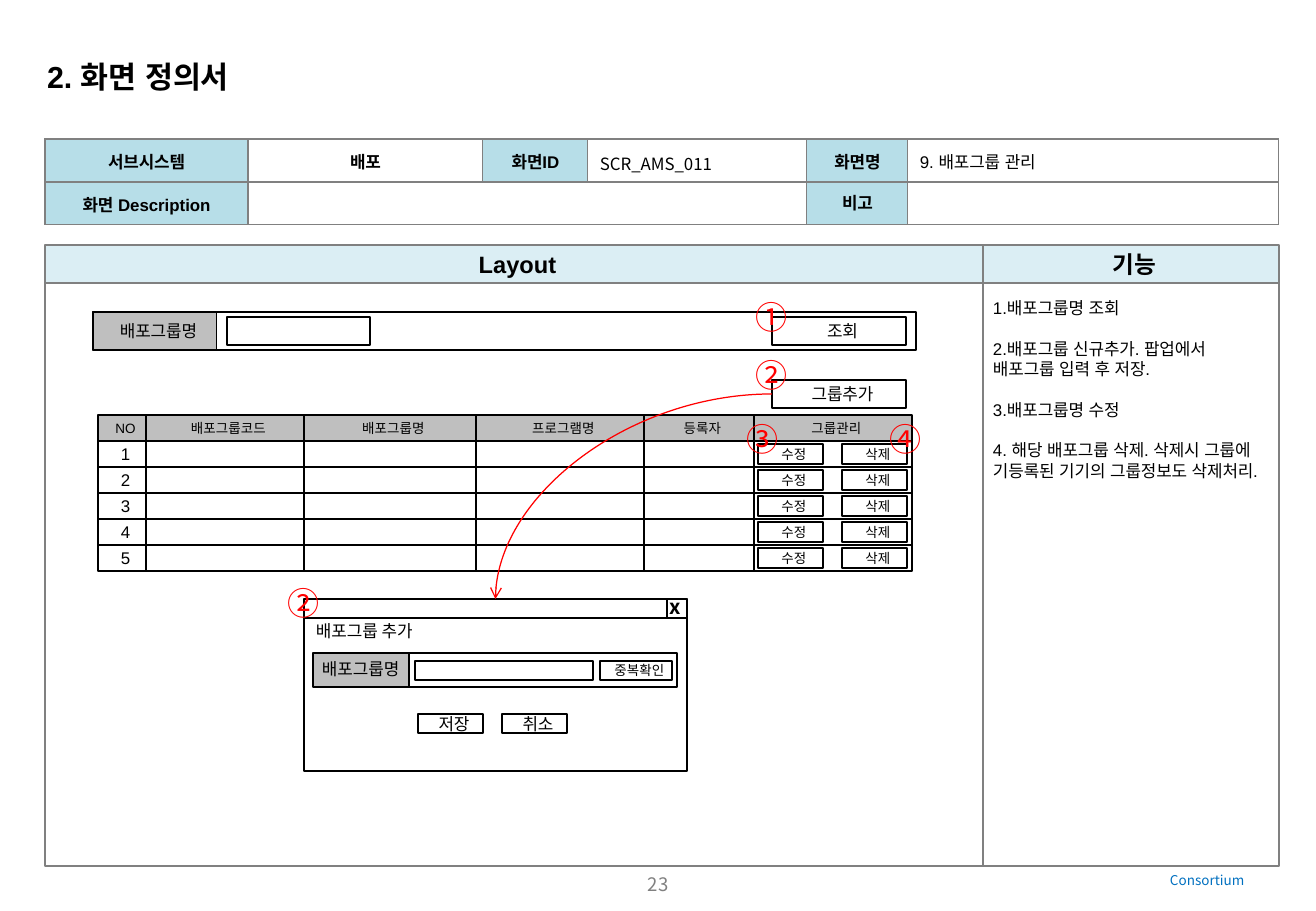
from lxml.etree import SubElement
from pptx import Presentation
from pptx.dml.color import RGBColor
from pptx.enum.shapes import MSO_CONNECTOR, MSO_SHAPE
from pptx.enum.text import MSO_ANCHOR, MSO_AUTO_SIZE, PP_ALIGN
from pptx.oxml.ns import qn
from pptx.util import Pt

SCALE = 7526  # EMU in one px
HEX = {
    "black": "000000", "white": "FFFFFF", "gray": "BFBFBF", "edge": "808080",
    "head": "B7DEE8", "pale": "DBEEF4", "red": "FF0000", "blue": "0070C0",
}
SANS, NOTO = "Arial", "Noto Sans CJK KR"
LEFT, MID = PP_ALIGN.LEFT, PP_ALIGN.CENTER
NOTES = [
    "1.배포그룹명 조회",
    "2.배포그룹 신규추가. 팝업에서 배포그룹 입력 후 저장.",
    "3.배포그룹명 수정",
    "4. 해당 배포그룹 삭제. 삭제시 그룹에 기등록된 기기의 그룹정보도 삭제처리.",
]


def px(*nums):
    return [num * SCALE for num in nums]


def rgb(name):
    return RGBColor.from_string(HEX[name])


def style(para, size, face=SANS, color="black", bold=False, align=LEFT):
    """Format a paragraph, with one face for Latin and Korean text."""
    para.alignment = align
    font = para.font
    font.size, font.bold, font.name = Pt(size), bold, face
    font.color.rgb = rgb(color)
    latin = para._p.pPr.find(".//" + qn("a:latin"))
    east = SubElement(latin.getparent(), qn("a:ea"), typeface=face)
    latin.addnext(east)


def inset(frame, left, top, right, bottom):
    (frame.margin_left, frame.margin_top,
     frame.margin_right, frame.margin_bottom) = px(left, top, right, bottom)


def place(shape, *area):
    shape.left, shape.top, shape.width, shape.height = px(*area)


def box(slide, area, text="", fill="white", edge="black", size=10, bold=False):
    shape = slide.shapes.add_shape(MSO_SHAPE.RECTANGLE, *px(*area))
    shape.shadow.inherit = False
    if fill:
        shape.fill.solid()
        shape.fill.fore_color.rgb = rgb(fill)
    else:
        shape.fill.background()
    shape.line.color.rgb = rgb(edge)
    shape.line.width = Pt(0.75)
    if text:
        frame = shape.text_frame
        frame.vertical_anchor = MSO_ANCHOR.MIDDLE
        inset(frame, 12, 2, 5, 2)
        frame.text = text
        style(frame.paragraphs[0], size, bold=bold, align=MID)
    return shape


def label(slide, area, text, size, color="black", bold=False, align=LEFT):
    frame = slide.shapes.add_textbox(*px(*area)).text_frame
    frame.word_wrap = True
    inset(frame, 12, 6, 12, 6)
    frame.text = text
    style(frame.paragraphs[0], size, NOTO, color, bold, align)


def mark(slide, x, y, sign):
    label(slide, (x, y, 57, 51), sign, 19, "red")


def border(cell):
    props = cell._tc.get_or_add_tcPr()
    for spot, side in enumerate(("lnL", "lnR", "lnT", "lnB")):
        line = SubElement(props, qn("a:" + side), w=str(Pt(0.75)))
        fill = SubElement(line, qn("a:solidFill"))
        SubElement(fill, qn("a:srgbClr"), val=HEX["edge"])
        props.insert(spot, line)


def summary(slide):
    wide = [203, 235, 105, 219, 101, 371]
    rows = [
        ["서브시스템", "배포", "화면ID", "SCR_AMS_011", "화면명", "9. 배포그룹 관리"],
        ["화면 Description", "", "", "", "비고", ""],
    ]
    table = slide.shapes.add_table(2, 6, *px(45, 139, sum(wide), 86)).table
    for col, width in zip(table.columns, px(*wide)):
        col.width = width
    for r, row in enumerate(rows):
        table.rows[r].height = px(43)[0]
        for c, text in enumerate(row):
            cell = table.cell(r, c)
            cell.fill.solid()
            cell.fill.fore_color.rgb = rgb("white" if c % 2 else "head")
            cell.vertical_anchor = MSO_ANCHOR.MIDDLE
            inset(cell, 12, 6, 12, 6)
            border(cell)
            cell.text = text
            para = cell.text_frame.paragraphs[0]
            value = c in (3, 5)
            style(para, 10, NOTO if c == 3 else SANS, bold=not value,
                  align=LEFT if value else MID)
            if not text:
                SubElement(para._p, qn("a:endParaRPr"), sz="1000")
            elif text != "비고":
                para.line_spacing = 1.2
    table.cell(1, 1).merge(table.cell(1, 3))


def title(slide):
    shape = slide.shapes.title
    place(shape, 35, 52, 260, 49)
    frame = shape.text_frame
    frame.auto_size = MSO_AUTO_SIZE.NONE
    frame.vertical_anchor = MSO_ANCHOR.TOP
    inset(frame, 12, 6, 12, 6)
    frame.text = "2. 화면 정의서"
    style(frame.paragraphs[0], 18, bold=True)


def notes(slide):
    shape = slide.placeholders[1]
    place(shape, 983, 283, 296, 583)
    shape.line.color.rgb = rgb("edge")
    shape.line.width = Pt(0.75)
    frame = shape.text_frame
    frame.auto_size = MSO_AUTO_SIZE.NONE
    inset(frame, 10, 15, 10, 10)
    frame.text = "\n".join(NOTES)
    for para in frame.paragraphs:
        style(para, 10)
        para.space_before, para.space_after = Pt(0), Pt(12)
        props = para._p.pPr
        props.set("marL", "0")
        props.set("indent", "0")
        bullet = SubElement(props, qn("a:buNone"))
        props.find(qn("a:defRPr")).addprevious(bullet)


def search(slide):
    box(slide, (93, 312, 823, 38))
    box(slide, (93, 312, 124, 38), "배포그룹명", "gray")
    box(slide, (227, 317, 143, 28))
    box(slide, (772, 317, 134, 28), "조회")


def groups(slide):
    heads = ["NO", "배포그룹코드", "배포그룹명", "프로그램명", "등록자", "그룹관리"]
    edges = [98, 146, 304, 476, 644, 754, 912]
    top, step = 415, 26
    for head, left, right in zip(heads, edges, edges[1:]):
        box(slide, (left, top, right - left, step), head, "gray", size=8)
        for row in range(1, 6):
            text = str(row) if head == "NO" else ""
            box(slide, (left, top + row * step, right - left, step), text)
    for row in range(1, 6):
        for x, text in ((758, "수정"), (842, "삭제")):
            box(slide, (x, top + row * step + 3, 65, 20), text, size=8)


def popup(slide):
    """Draw the window that adds a group and return its title bar."""
    box(slide, (304, 618, 383, 153))
    bar = box(slide, (304, 599, 383, 19))
    box(slide, (667, 599, 20, 19))
    label(slide, (658, 588, 40, 37), "x", 12, bold=True)
    label(slide, (304, 615, 143, 33), "배포그룹 추가", 10)
    box(slide, (415, 661, 178, 19))
    box(slide, (409, 653, 268, 34), fill=None)
    box(slide, (418, 714, 65, 19), "저장")
    box(slide, (502, 714, 65, 19), "취소")
    box(slide, (313, 653, 96, 34), fill="gray")
    box(slide, (600, 661, 72, 19), "중복확인", size=8)
    label(slide, (310, 653, 124, 33), "배포그룹명", 10)
    return bar


def arrow(slide, start, end):
    """Bend a red arrow from the left of one box to the top of another."""
    link = slide.shapes.add_connector(MSO_CONNECTOR.CURVE, 0, 0, 0, 0)
    link.begin_connect(start, 1)
    link.end_connect(end, 0)
    link.line.color.rgb = rgb("red")
    link.line.width = Pt(0.75)
    props = link._element.spPr
    props.find(qn("a:prstGeom")).set("prst", "curvedConnector2")
    SubElement(props.find(qn("a:ln")), qn("a:tailEnd"), type="arrow")
    SubElement(props, qn("a:effectLst"))


def main():
    deck = Presentation()
    deck.slide_width, deck.slide_height = px(1316, 911)
    slide = deck.slides.add_slide(deck.slide_layouts[1])
    label(slide, (1158, 866, 124, 29), "Consortium", 8, "blue")
    label(slide, (481, 867, 354, 39), "23", 11, "edge", align=MID)
    title(slide)
    summary(slide)
    box(slide, (45, 283, 938, 583), fill=None, edge="edge")
    notes(slide)
    for x, width, text in ((983, 296, "기능"), (45, 938, "Layout")):
        box(slide, (x, 245, width, 38), text, "pale", "edge", 14, True)
    search(slide)
    groups(slide)
    button = box(slide, (772, 380, 134, 28), "그룹추가")
    arrow(slide, button, popup(slide))
    for x, y, sign in ((744, 292, "①"), (744, 350, "②"), (276, 577, "②"),
                       (735, 414, "③"), (878, 414, "④")):
        mark(slide, x, y, sign)
    deck.save("out.pptx")


if __name__ == "__main__":
    main()
